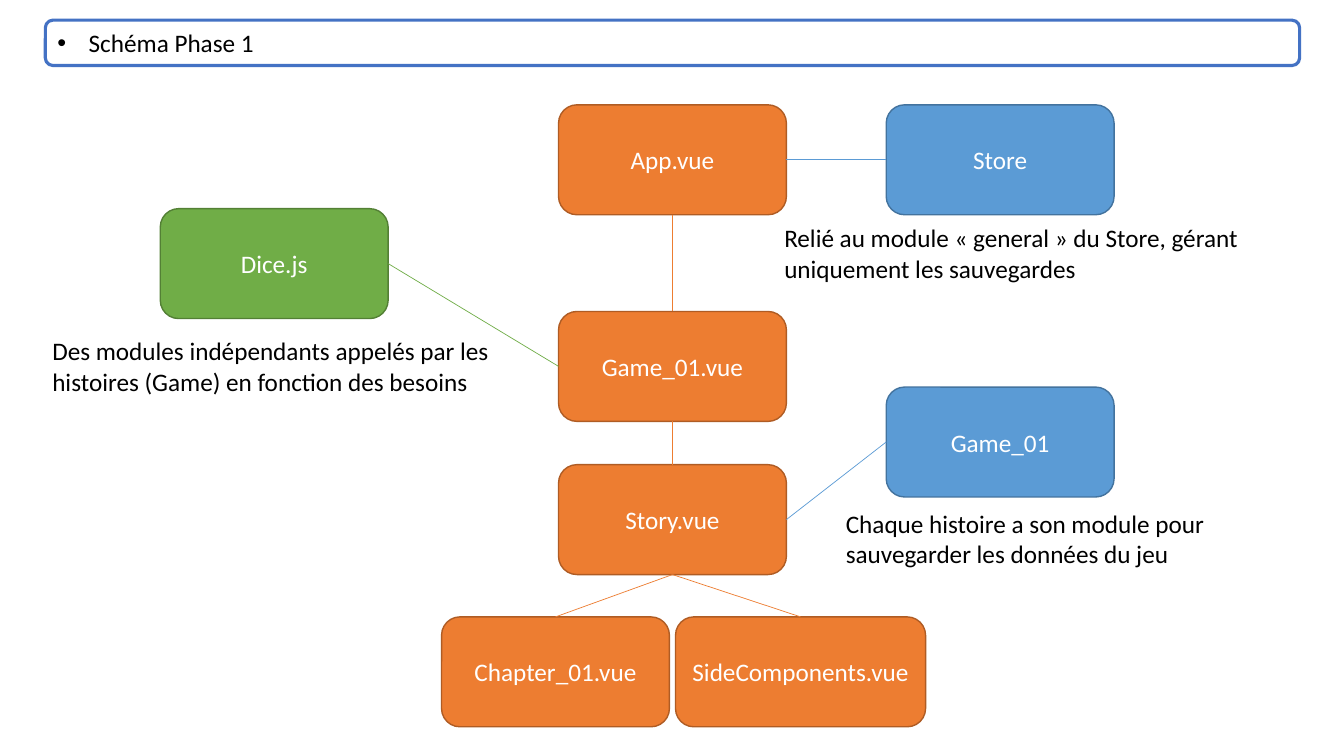
from lxml.etree import SubElement
from pptx import Presentation
from pptx.dml.color import RGBColor
from pptx.enum.shapes import MSO_CONNECTOR, MSO_SHAPE
from pptx.enum.text import MSO_ANCHOR, PP_ALIGN
from pptx.oxml.ns import qn
from pptx.util import Inches, Pt

COLORS = {
    "white": "FFFFFF", "black": "000000", "title": "4472C4",
    "component": "ED7D31", "component_edge": "AF5C24",
    "store": "5B9BD5", "store_edge": "43739E",
    "module": "70AD47", "module_edge": "538035",
}
TOP, LEFT, BOTTOM, RIGHT = range(4)
NODE_W, NODE_H = 2.26, 1.09
MAIN_X, STORE_X = 5.54, 8.79

# name: (label, kind, left, top, width)
NODES = {
    "app": ("App.vue", "component", MAIN_X, 1.04, NODE_W),
    "general_store": ("Store", "store", STORE_X, 1.04, NODE_W),
    "game": ("Game_01.vue", "component", MAIN_X, 3.09, NODE_W),
    "story": ("Story.vue", "component", MAIN_X, 4.61, NODE_W),
    "chapter": ("Chapter_01.vue", "component", 4.38, 6.12, NODE_W),
    "side": ("SideComponents.vue", "component", 6.7, 6.12, 2.48),
    "game_store": ("Game_01", "store", STORE_X, 3.84, NODE_W),
    "dice": ("Dice.js", "module", 1.59, 2.07, NODE_W),
}
# (from, side, to, side, kind)
LINKS = [
    ("app", RIGHT, "general_store", LEFT, "store"),
    ("app", BOTTOM, "game", TOP, "component"),
    ("game", BOTTOM, "story", TOP, "component"),
    ("story", BOTTOM, "chapter", TOP, "component"),
    ("story", BOTTOM, "side", TOP, "component"),
    ("story", RIGHT, "game_store", LEFT, "store"),
    ("game", LEFT, "dice", RIGHT, "module"),
]
NOTES = [
    ("Relié au module « general » du Store, gérant uniquement les sauvegardes", 7.68, 2.16),
    ("Chaque histoire a son module pour sauvegarder les données du jeu", 8.29, 4.99),
    ("Des modules indépendants appelés par les histoires (Game) en fonction des besoins", 0.42, 3.28),
]


def color(name):
    return RGBColor.from_string(COLORS[name])


def write(shape, text, ink, align, anchor):
    frame = shape.text_frame
    frame.word_wrap = True
    frame.vertical_anchor = anchor
    paragraph = frame.paragraphs[0]
    paragraph.text = text
    paragraph.alignment = align
    paragraph.font.name = "Calibri"
    paragraph.font.size = Pt(18)
    paragraph.font.color.rgb = color(ink)
    return paragraph


def add_rounded_box(slide, left, top, width, height, fill, edge, edge_width):
    box = slide.shapes.add_shape(MSO_SHAPE.ROUNDED_RECTANGLE, Inches(left),
                                 Inches(top), Inches(width), Inches(height))
    box.shadow.inherit = False
    box.fill.solid()
    box.fill.fore_color.rgb = color(fill)
    box.line.color.rgb = color(edge)
    box.line.width = Pt(edge_width)
    return box


def add_title(slide, text, left, top, width, height):
    """Bulleted heading in an outlined bar."""
    bar = add_rounded_box(slide, left, top, width, height, "white", "title", 2.25)
    heading = write(bar, text, "black", PP_ALIGN.JUSTIFY, MSO_ANCHOR.TOP)
    properties = heading._p.get_or_add_pPr()
    properties.set("marL", str(Inches(0.31)))
    properties.set("indent", str(-Inches(0.31)))
    bullet_font = properties.makeelement(qn("a:buFont"), {"typeface": "Arial"})
    bullet = properties.makeelement(qn("a:buChar"), {"char": "•"})
    properties.insert(0, bullet_font)
    bullet_font.addnext(bullet)


def add_node(slide, label, kind, left, top, width):
    node = add_rounded_box(slide, left, top, width, NODE_H, kind, f"{kind}_edge", 1)
    write(node, label, "white", PP_ALIGN.CENTER, MSO_ANCHOR.MIDDLE)
    return node


def add_link(slide, start, start_side, end, end_side, kind):
    link = slide.shapes.add_connector(MSO_CONNECTOR.STRAIGHT, 0, 0, 0, 0)
    link.begin_connect(start, start_side)
    link.end_connect(end, end_side)
    link.line.color.rgb = color(kind)
    link.line.width = Pt(0.5)
    SubElement(link._element.spPr, qn("a:effectLst"))


def add_note(slide, text, left, top):
    note = slide.shapes.add_textbox(Inches(left), Inches(top), Inches(4.88), Inches(0.71))
    write(note, text, "black", PP_ALIGN.LEFT, MSO_ANCHOR.TOP)


def add_diagram(slide):
    nodes = {name: add_node(slide, *node) for name, node in NODES.items()}
    for start, start_side, end, end_side, kind in LINKS:
        add_link(slide, nodes[start], start_side, nodes[end], end_side, kind)
    for note in NOTES:
        add_note(slide, *note)


def main():
    presentation = Presentation()
    presentation.slide_width = Inches(13.33)
    presentation.slide_height = Inches(7.5)
    slide = presentation.slides.add_slide(presentation.slide_layouts[6])
    add_title(slide, "Schéma Phase 1", 0.45, 0.2, 12.44, 0.45)
    add_diagram(slide)
    presentation.save("out.pptx")


if __name__ == "__main__":
    main()
